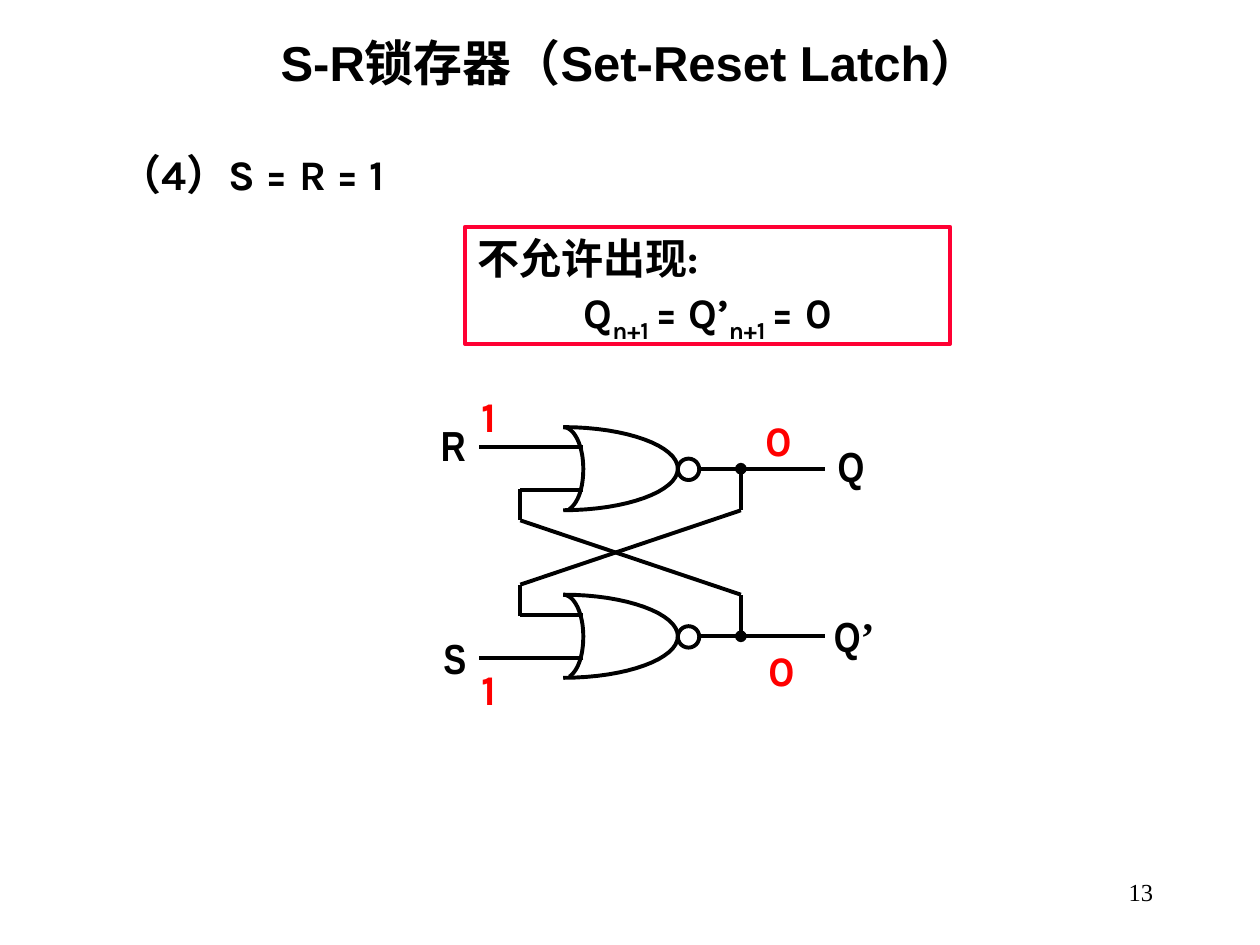
from pptx import Presentation
from pptx.dml.color import RGBColor
from pptx.enum.shapes import MSO_CONNECTOR as Link, MSO_SHAPE as Shape
from pptx.enum.text import MSO_ANCHOR as Anchor, PP_ALIGN as Align
from pptx.oxml.ns import qn
from pptx.util import Inches, Pt
from lxml.etree import SubElement

BLACK = RGBColor(0, 0, 0)
RED = RGBColor(0xFF, 0, 0)
ROSE = RGBColor(0xFF, 0, 0x33)


def add_text(para, text, font="Karla", size=24, color=BLACK, bold=True, sub=False):
    run = para.add_run()
    run.text = text
    run.font.name, run.font.size, run.font.bold = font, Pt(size), bold
    run.font.color.rgb = color
    if sub:
        run.font._element.set("baseline", "-25000")


def bezier(start, c1, c2, end, steps=16):
    """Points along a cubic curve, without its start."""
    for i in range(1, steps + 1):
        t = i / steps
        u = 1 - t
        yield tuple(u**3 * a + 3 * u * u * t * b + 3 * u * t * t * c + t**3 * d
                    for a, b, c, d in zip(start, c1, c2, end))


class Sketch:
    def __init__(self, slide, ink=BLACK, width=2.25):
        self.shapes, self.ink, self.width = slide.shapes, ink, Pt(width)

    def pen(self, item, color=None):
        item.line.color.rgb = color or self.ink
        item.line.width = self.width

    def wire(self, x1, y1, x2, y2, dot=False):
        item = self.shapes.add_connector(
            Link.STRAIGHT, Inches(x1), Inches(y1), Inches(x2), Inches(y2))
        self.pen(item)
        if dot:
            SubElement(item.line._get_or_add_ln(), qn("a:headEnd"), type="oval")
        SubElement(item._element.spPr, qn("a:effectLst"))

    def shape(self, kind, x, y, w, h, color=None):
        item = self.shapes.add_shape(kind, Inches(x), Inches(y), Inches(w), Inches(h))
        item.shadow.inherit = False
        item.fill.background()
        self.pen(item, color)
        return item

    def curve(self, start, *parts):
        """Open outline; each part is two control points and an end."""
        points = [start]
        for part in parts:
            points += bezier(points[-1], *part)
        first, *rest = [(Inches(x), Inches(y)) for x, y in points]
        pen = self.shapes.build_freeform(*first)
        pen.add_line_segments(rest, close=False)
        item = pen.convert_to_shape()
        item.shadow.inherit = False
        item.fill.background()
        self.pen(item)

    def gate(self, y):
        for d in (-1, 1):
            self.curve((4.47, y + 0.33 * d),
                       ((4.97, y + 0.33 * d), (5.38, y + 0.18 * d), (5.38, y)))
        self.curve((4.47, y - 0.33),
                   ((4.56, y - 0.33), (4.63, y - 0.18), (4.63, y)),
                   ((4.63, y + 0.15), (4.59, y + 0.27), (4.52, y + 0.32)))
        self.shape(Shape.OVAL, 5.38, y - 0.08, 0.17, 0.17)

    def label(self, x, y, w, *runs, h=0.5, wrap=False, align=Align.LEFT,
              anchor=Anchor.TOP, **style):
        frame = self.shapes.add_textbox(
            Inches(x), Inches(y), Inches(w), Inches(h)).text_frame
        frame.word_wrap, frame.vertical_anchor = wrap, anchor
        para = frame.paragraphs[0]
        para.alignment = align
        for run in runs:
            add_text(para, run, **style)
        return para


def main():
    deck = Presentation()
    deck.slide_width, deck.slide_height = Inches(10), Inches(7.5)
    art = Sketch(deck.slides.add_slide(deck.slide_layouts[6]))

    # Title and case
    art.label(0, 0.21, 10, "S-R锁存器（Set-Reset Latch）", h=0.57, wrap=True,
              align=Align.CENTER, font="Arial", size=28)
    art.label(0.85, 1.13, 2.68, "（4）S = R = 1")

    # Two cross-coupled gates, mirrored; d points to the middle
    top, low = 3.72, 5.05
    for y, far, d in ((top, low, 1), (low, top, -1)):
        art.gate(y)
        art.wire(4.63, y - 0.17 * d, 3.8, y - 0.17 * d)
        art.wire(4.13, y + 0.17 * d, 4.63, y + 0.17 * d)
        art.wire(5.55, y, 6.55, y)
        art.wire(5.88, y, 5.88, y + 0.33 * d, dot=True)
        art.wire(4.13, y + 0.16 * d, 4.13, y + 0.41 * d)
        art.wire(4.13, y + 0.41 * d, 5.88, far - 0.33 * d)

    # Signal names
    for x, y, w, name in ((6.55, 3.45, 0.41, "Q"), (6.52, 4.8, 0.53, "Q"),
                          (3.4, 3.28, 0.4, "R"), (3.42, 4.97, 0.38, "S")):
        para = art.label(x, y, w, name, font="Arial Narrow")
        if w == 0.53:
            add_text(para, "’", font="Times New Roman")

    # Signal values
    for x, y, w, bit in ((5.98, 3.24, 0.35, "0"), (6, 5.07, 0.35, "0"),
                         (3.72, 3.05, 0.41, "1"), (3.72, 5.22, 0.41, "1")):
        art.label(x, y, w, bit, wrap=bit == "0", color=RED)

    # Forbidden state
    frame = art.shape(Shape.RECTANGLE, 3.69, 1.8, 3.85, 0.93, ROSE).text_frame
    frame.word_wrap, frame.vertical_anchor = True, Anchor.TOP
    para = frame.paragraphs[0]
    para.alignment = Align.LEFT
    add_text(para, "不允许出现:")
    para = frame.add_paragraph()
    para.alignment = Align.CENTER
    para.space_before = Pt(2)
    for i, part in enumerate(("Q", "n+1 ", "= Q’", "n+1 ", "= 0")):
        add_text(para, part, sub=i % 2 == 1)

    # Page number
    art.label(7.17, 6.83, 2.08, "13", wrap=True, align=Align.RIGHT,
              anchor=Anchor.MIDDLE, font="Times New Roman", size=14, bold=False)

    deck.save("out.pptx")


if __name__ == "__main__":
    main()
